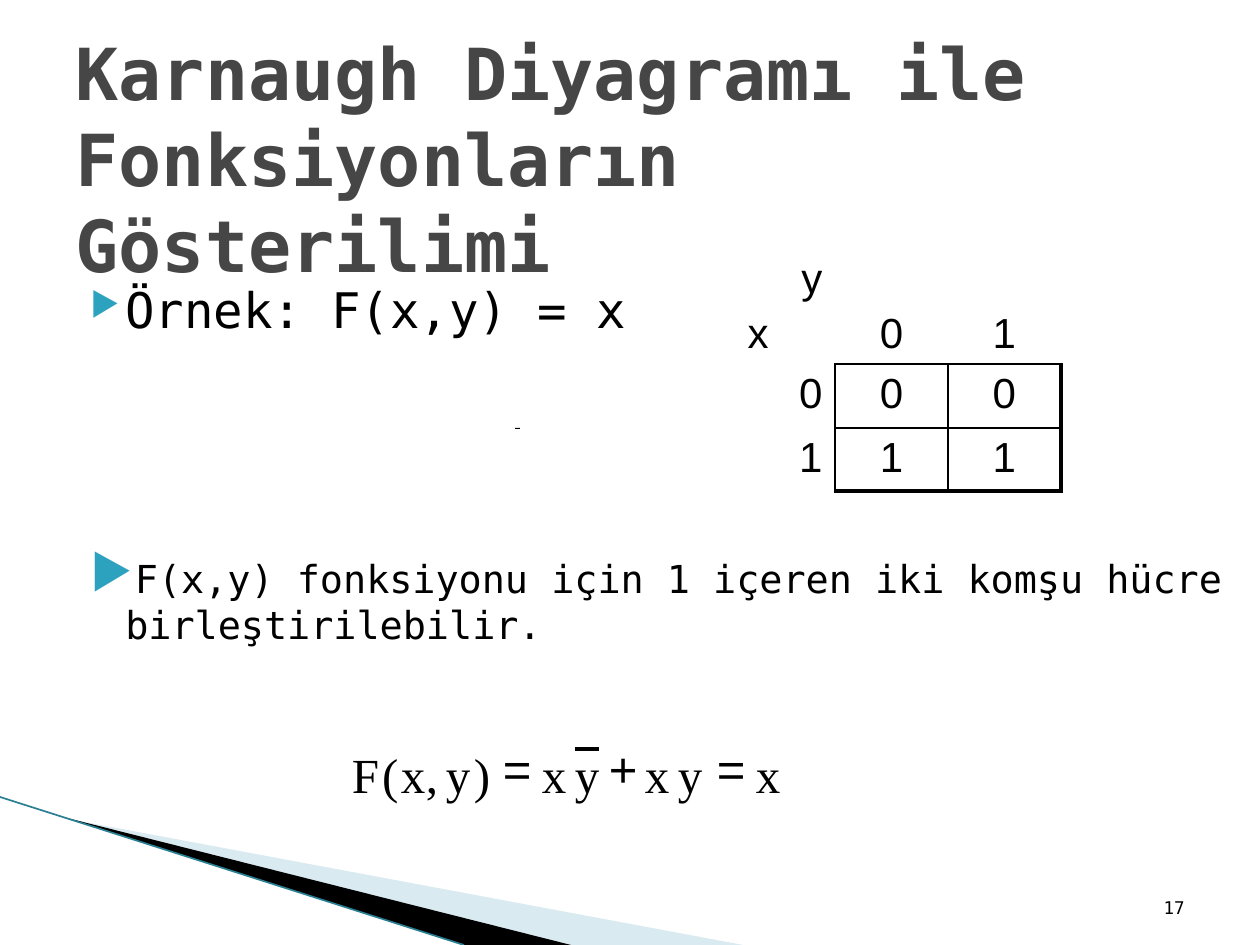
from lxml.etree import SubElement
from pptx import Presentation
from pptx.dml.color import RGBColor
from pptx.enum.shapes import MSO_CONNECTOR as Connector, MSO_SHAPE as Shape
from pptx.enum.text import MSO_ANCHOR as Anchor, MSO_AUTO_SIZE as AutoSize, PP_ALIGN as Align
from pptx.oxml.ns import qn
from pptx.util import Pt

SCALE = 914400 / 126
COLORS = {"text": "000000", "title": "464646", "bullet": "2DA2BF",
          "wedge": "A0CBDC", "edge": "2A7F92"}
MONO, SANS, SERIF = "DejaVu Sans Mono", "Arial", "Times New Roman"


def px(*lengths):
    """Turn pixel lengths into a list of EMU."""
    return [round(length * SCALE) for length in lengths]


def color(name):
    """Return a named colour."""
    return RGBColor.from_string(COLORS[name])


def style(para, font, size, name="text", align=Align.LEFT, bold=False):
    """Format a paragraph and its runs."""
    para.alignment = align
    for span in para.runs:
        span.font.name, span.font.size, span.font.bold = font, Pt(size), bold
        span.font.color.rgb = color(name)


def add_text(shapes, box, text, font, size, align=Align.LEFT, anchor=Anchor.TOP):
    """Add a one-paragraph text box and return its frame."""
    frame = shapes.add_textbox(*px(*box)).text_frame
    frame.word_wrap, frame.vertical_anchor = True, anchor
    frame.text = text
    style(frame.paragraphs[0], font, size, align=align)
    return frame


def add_line(shapes, start, end, name, width):
    """Add a straight line without a shadow."""
    line = shapes.add_connector(Connector.STRAIGHT, *px(*start, *end))
    line.line.color.rgb, line.line.width = color(name), Pt(width)
    SubElement(line._element.spPr, qn("a:effectLst"))


def add_wedge(page, left, top, points, name, alpha=100):
    """Add a filled outline from points relative to its corner."""
    corners = [tuple(px(left + x, top + y)) for x, y in points]
    builder = page.shapes.build_freeform(*corners[0])
    builder.add_line_segments(corners[1:])
    wedge = builder.convert_to_shape()
    wedge.shadow.inherit = False
    wedge.fill.solid()
    wedge.fill.fore_color.rgb = color(name)
    wedge.line.fill.background()
    shade = wedge.fill._xPr.find(qn("a:solidFill"))[0]
    SubElement(shade, qn("a:alpha"), val=str(alpha * 1000))


def add_decoration(page, left, top):
    """Draw the wedges in the bottom corner."""
    add_wedge(page, left + 68, top + 22, [(0, 0), (675, 126), (500, 126)], "wedge", 40)
    add_wedge(page, left + 67, top + 21, [(0, 0), (504, 127), (396, 127)], "text")
    add_line(page.shapes, (left, top), (left + 464, top + 148), "edge", 0.95)


def add_title(page, box, text):
    """Place and format the title placeholder."""
    title = page.shapes.title
    title.left, title.top, title.width, title.height = px(*box)
    frame = title.text_frame
    frame.text = text
    frame.auto_size, frame.vertical_anchor = AutoSize.NONE, Anchor.MIDDLE
    style(frame.paragraphs[0], MONO, 41, "title", bold=True)


def add_bullet(page, box, text, size, bullet_size, before=0):
    """Add a bulleted statement with a hanging indent."""
    para = add_text(page.shapes, box, text, MONO, size).paragraphs[0]
    para.space_before = Pt(before)
    properties = para._p.get_or_add_pPr()
    margin, indent = px(50, -35)
    properties.set("marL", str(margin))
    properties.set("indent", str(indent))
    SubElement(SubElement(properties, qn("a:buClr")), qn("a:srgbClr"), val=COLORS["bullet"])
    SubElement(properties, qn("a:buSzPct"), val=str(bullet_size * 1000))
    SubElement(properties, qn("a:buChar"), char="▶")


def set_borders(cell, widths):
    """Draw cell borders from widths in points keyed by side."""
    for side in "LRTB":
        if side in widths:
            border = SubElement(cell._tc.get_or_add_tcPr(), qn(f"a:ln{side}"),
                                w=str(Pt(widths[side])))
            fill = SubElement(border, qn("a:solidFill"))
            SubElement(fill, qn("a:srgbClr"), val=COLORS["text"])


def add_karnaugh_map(page, left, top):
    """Add the two-variable Karnaugh map."""
    rows = [["y\nx", "0", "1"], ["0", "0", "0"], ["1", "1", "1"]]
    widths, heights = [100, 113, 113], [117, 64, 60]
    table = page.shapes.add_table(
        3, 3, *px(left, top, sum(widths), sum(heights))).table
    table.first_row = table.horz_banding = False
    for column, width in zip(table.columns, px(*widths)):
        column.width = width
    for row, height in zip(table.rows, px(*heights)):
        row.height = height
    for r, row in enumerate(rows):
        for c, text in enumerate(row):
            cell = table.cell(r, c)
            if r and c:
                set_borders(cell, {"L": 1, "T": 1, "R": 2.25 if c == 2 else 1,
                                   "B": 2.25 if r == 2 else 1})
            elif r:
                set_borders(cell, {"R": 1})
            elif c:
                set_borders(cell, {"B": 1})
            cell.fill.background()
            cell.vertical_anchor = Anchor.TOP if r else Anchor.BOTTOM
            cell.text_frame.text = text
            for para in cell.text_frame.paragraphs:
                style(para, SANS, 24, align=Align.CENTER if c else Align.RIGHT)
    corner = table.cell(0, 0).text_frame.paragraphs[1]
    corner.alignment, corner.space_before = Align.LEFT, Pt(4.8)


def add_dashes(page, top):
    """Add the two small dashes beside and on the map."""
    for left in (515, 960):
        dash = page.shapes.add_shape(Shape.RECTANGLE, *px(left, top, 5, 1))
        dash.shadow.inherit = False
        dash.fill.solid()
        dash.fill.fore_color.rgb = color("text")
        dash.line.fill.background()


def add_formula(page, left, top):
    """Add the simplified formula as a group of symbols."""
    shapes = page.shapes.add_group_shape().shapes
    symbols = [("F", 0, 28), ("(", 30, 16), ("x", 49, 24), (",", 74, 12),
               ("y", 94, 24), (")", 122, 16), ("=", 151, 26), ("x", 190, 24),
               ("y", 223, 24), ("+", 257, 26), ("x", 293, 24), ("y", 326, 24),
               ("=", 365, 26), ("x", 404, 24)]
    for text, offset, width in symbols:
        operator = text in "=+"
        frame = add_text(shapes, (left + offset, top if operator else top + 7, width, 56),
                         text, SANS if operator else SERIF, 28)
        frame.word_wrap = False
        frame.margin_left = frame.margin_right = frame.margin_top = frame.margin_bottom = 0
    add_line(shapes, (left + 223, top + 11), (left + 247, top + 11), "text", 2.25)


def main():
    """Build the slide and save it."""
    deck = Presentation()
    deck.slide_width, deck.slide_height = px(1260, 945)
    page = deck.slides.add_slide(deck.slide_layouts[5])
    add_decoration(page, 0, 797)
    add_title(page, (63, 63, 1134, 189), "Karnaugh Diyagramı ile Fonksiyonların Gösterilimi")
    add_bullet(page, (63, 273, 640, 75), "Örnek: F(x,y) = x", 28, 68, 4)
    add_bullet(page, (63, 549, 1197, 110),
               "F(x,y) fonksiyonu için 1 içeren iki komşu hücre birleştirilebilir.", 22, 125)
    add_karnaugh_map(page, 735, 242)
    add_text(page.shapes, (903, 861, 294, 63), "17", MONO, 10, Align.RIGHT, Anchor.BOTTOM)
    add_dashes(page, 428)
    add_formula(page, 352, 738)
    deck.save("out.pptx")


if __name__ == "__main__":
    main()
